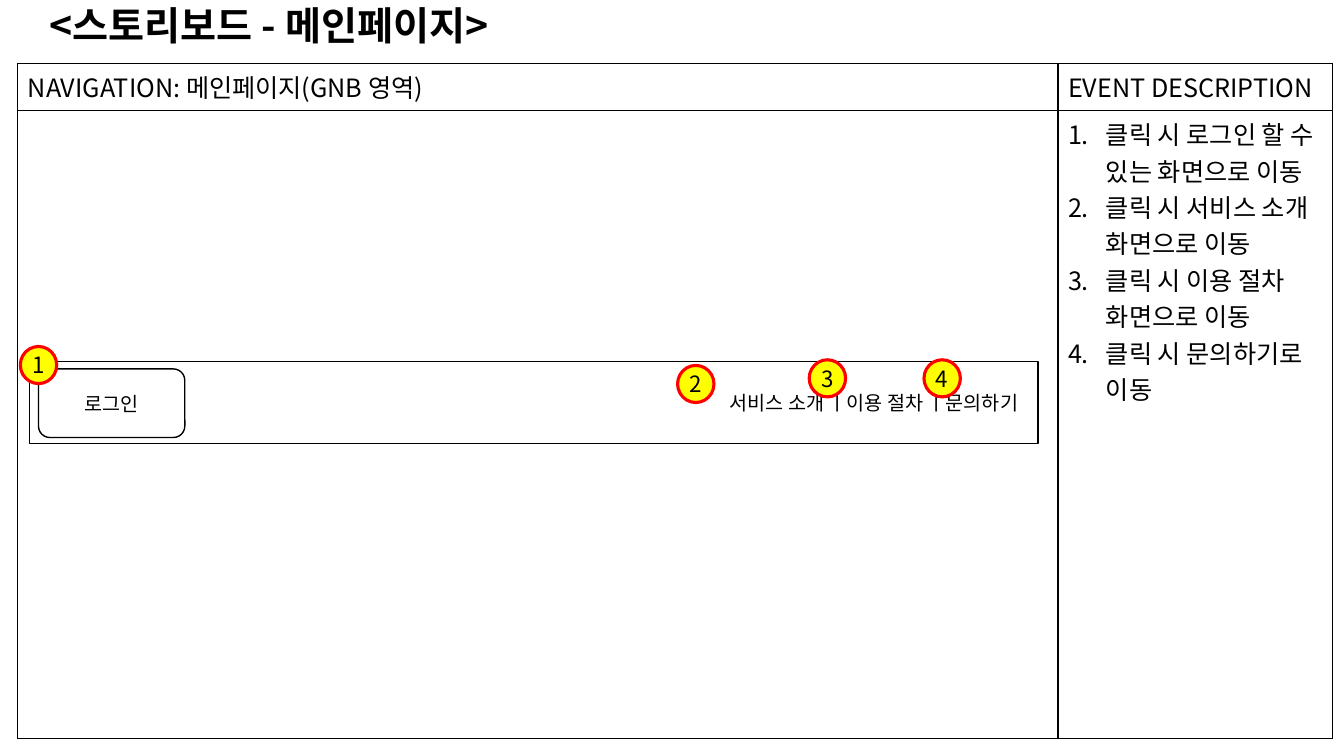
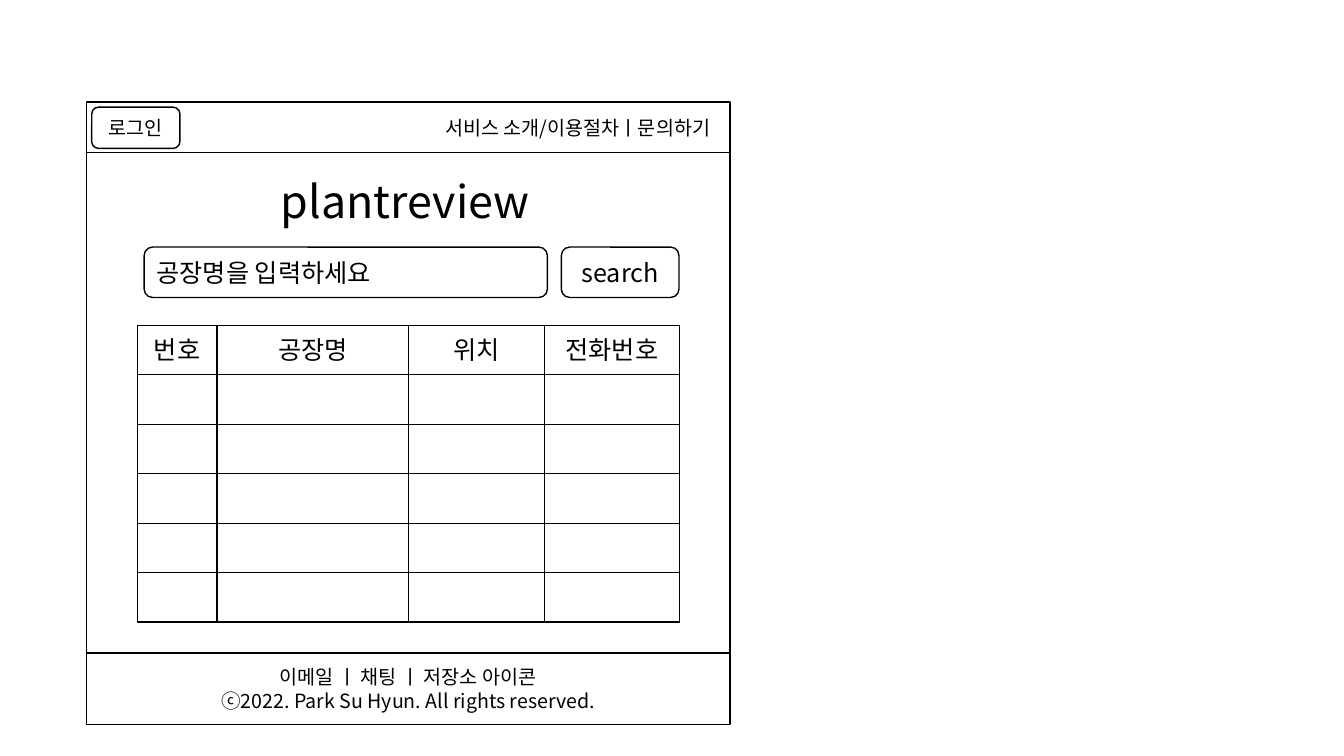
from dataclasses import dataclass

from pptx import Presentation
from pptx.dml.color import RGBColor
from pptx.enum.shapes import MSO_SHAPE as Shape
from pptx.enum.text import MSO_ANCHOR as Anchor, PP_ALIGN as Align
from pptx.oxml import parse_xml
from pptx.oxml.ns import nsdecls, qn
from pptx.util import Pt


@dataclass(frozen=True)
class Theme:
    font: str = "Noto Sans CJK KR"
    ink: str = "000000"
    paper: str = "FFFFFF"
    badge_fill: str = "FFFF00"
    badge_line: str = "FF0000"
    title: int = 28
    logo: int = 32
    body: int = 18
    badge: int = 16
    small: int = 14
    line: float = 1
    badge_line_width: float = 2.25
    menu_inset: float = 14
    list_indent: int = 27


THEME = Theme()


def rgb(value):
    return RGBColor.from_string(value)


def write(tf, text, size, align=Align.LEFT, bold=False):
    tf.text = text
    for p in tf.paragraphs:
        p.alignment = align
        for r in p.runs:
            r.font.size = Pt(size)
            r.font.bold = bold
            r.font.color.rgb = rgb(THEME.ink)
            r.font.name = THEME.font
            latin = r.font._element.find(qn("a:latin"))
            latin.addnext(parse_xml(f'<a:ea {nsdecls("a")} typeface="{THEME.font}"/>'))


def add_label(s, box, text, size, bold=False):
    tf = s.shapes.add_textbox(*map(Pt, box)).text_frame
    tf.word_wrap = True
    tf.vertical_anchor = Anchor.MIDDLE
    write(tf, text, size, Align.CENTER, bold)


def add_box(s, box, text="", size=THEME.small, align=Align.CENTER, kind=Shape.RECTANGLE,
            fill=THEME.paper, line=THEME.ink, width=THEME.line):
    sp = s.shapes.add_shape(kind, *map(Pt, box))
    sp.shadow.inherit = False
    sp.fill.solid()
    sp.fill.fore_color.rgb = rgb(fill)
    sp.line.color.rgb = rgb(line)
    sp.line.width = Pt(width)
    sp.text_frame.vertical_anchor = Anchor.MIDDLE
    write(sp.text_frame, text, size, align)
    return sp


def add_button(s, box, text, size=THEME.small, align=Align.CENTER):
    add_box(s, box, text, size, align, Shape.ROUNDED_RECTANGLE)


def add_menu_bar(s, box, text):
    sp = add_box(s, box, text, align=Align.RIGHT)
    sp.text_frame.margin_right = Pt(THEME.menu_inset)


def add_badge(s, left, top, number):
    sp = add_box(s, (left, top, 26, 26.5), str(number), THEME.badge, kind=Shape.OVAL,
                 fill=THEME.badge_fill, line=THEME.badge_line, width=THEME.badge_line_width)
    tf = sp.text_frame
    tf.word_wrap = False
    tf.margin_left = tf.margin_right = tf.margin_top = tf.margin_bottom = 0


def outline_cell(cell):
    tc_pr = cell._tc.get_or_add_tcPr()
    for side in "LRTB":
        tc_pr.append(parse_xml(
            f'<a:ln{side} {nsdecls("a")} w="{Pt(THEME.line)}"><a:solidFill>'
            f'<a:srgbClr val="{THEME.ink}"/></a:solidFill></a:ln{side}>'))
    cell.fill.background()


def add_grid(s, left, top, widths, heights, rows, align=Align.LEFT):
    frame = s.shapes.add_table(len(heights), len(widths), Pt(left), Pt(top),
                               Pt(sum(widths)), Pt(sum(heights)))
    table = frame.table
    table.first_row = table.horz_banding = False
    for column, width in zip(table.columns, widths):
        column.width = Pt(width)
    for row, height in zip(table.rows, heights):
        row.height = Pt(height)
    for cell in table.iter_cells():
        outline_cell(cell)
    for i, texts in enumerate(rows):
        for j, text in enumerate(texts):
            write(table.cell(i, j).text_frame, text, THEME.body, align)
    return table


def number_paragraphs(tf):
    for p in tf.paragraphs:
        p_pr = p._p.get_or_add_pPr()
        p_pr.set("marL", str(Pt(THEME.list_indent)))
        p_pr.set("indent", str(-Pt(THEME.list_indent)))
        p_pr.append(parse_xml(f'<a:buAutoNum {nsdecls("a")} type="arabicPeriod"/>'))


def build_storyboard(s):
    events = "\n".join([
        "클릭 시 로그인 할 수 있는 화면으로 이동",
        "클릭 시 서비스 소개 화면으로 이동",
        "클릭 시 이용 절차 화면으로 이동",
        "클릭 시 문의하기로 이동",
    ])
    table = add_grid(s, 12.7, 45.5, (743, 196), (32.5, 448.5), [
        ("NAVIGATION: 메인페이지(GNB 영역)", "EVENT DESCRIPTION"),
        ("", events),
    ])
    number_paragraphs(table.cell(1, 1).text_frame)
    add_label(s, (0, 0, 384.5, 36), "<스토리보드 - 메인페이지>", THEME.title, bold=True)
    add_menu_bar(s, (21, 258, 720.5, 59), "서비스 소개 ㅣ이용 절차 ㅣ문의하기")
    add_button(s, (27.5, 263.5, 104.5, 49), "로그인")
    spots = [(14.5, 247.5), (484, 261), (578, 257), (660, 257)]
    for number, (left, top) in enumerate(spots, 1):
        add_badge(s, left, top, number)


def build_main_page(s):
    left, width = 62, 459.5
    add_box(s, (left, 108, width, 371))
    add_label(s, (182, 120, 215, 46), "plantreview", THEME.logo)
    add_button(s, (103, 176.5, 288, 36), "공장명을 입력하세요", THEME.body, Align.LEFT)
    add_button(s, (401, 176.5, 84, 36), "search", THEME.body)
    add_grid(s, 98, 232.5, (57, 137, 96.75, 96.75), [35.3] * 6,
             [("번호", "공장명", "위치", "전화번호")], Align.CENTER)
    add_menu_bar(s, (left, 73, width, 36), "서비스 소개/이용절차ㅣ문의하기")
    add_button(s, (65.5, 76.5, 63, 29.5), "로그인")
    add_box(s, (left, 466.5, width, 51),
            "이메일 ㅣ 채팅 ㅣ 저장소 아이콘\nⓒ2022. Park Su Hyun. All rights reserved.")


def main():
    prs = Presentation()
    prs.slide_width, prs.slide_height = Pt(960), Pt(540)
    for build in (build_storyboard, build_main_page):
        build(prs.slides.add_slide(prs.slide_layouts[6]))
    prs.save("out.pptx")


if __name__ == "__main__":
    main()
